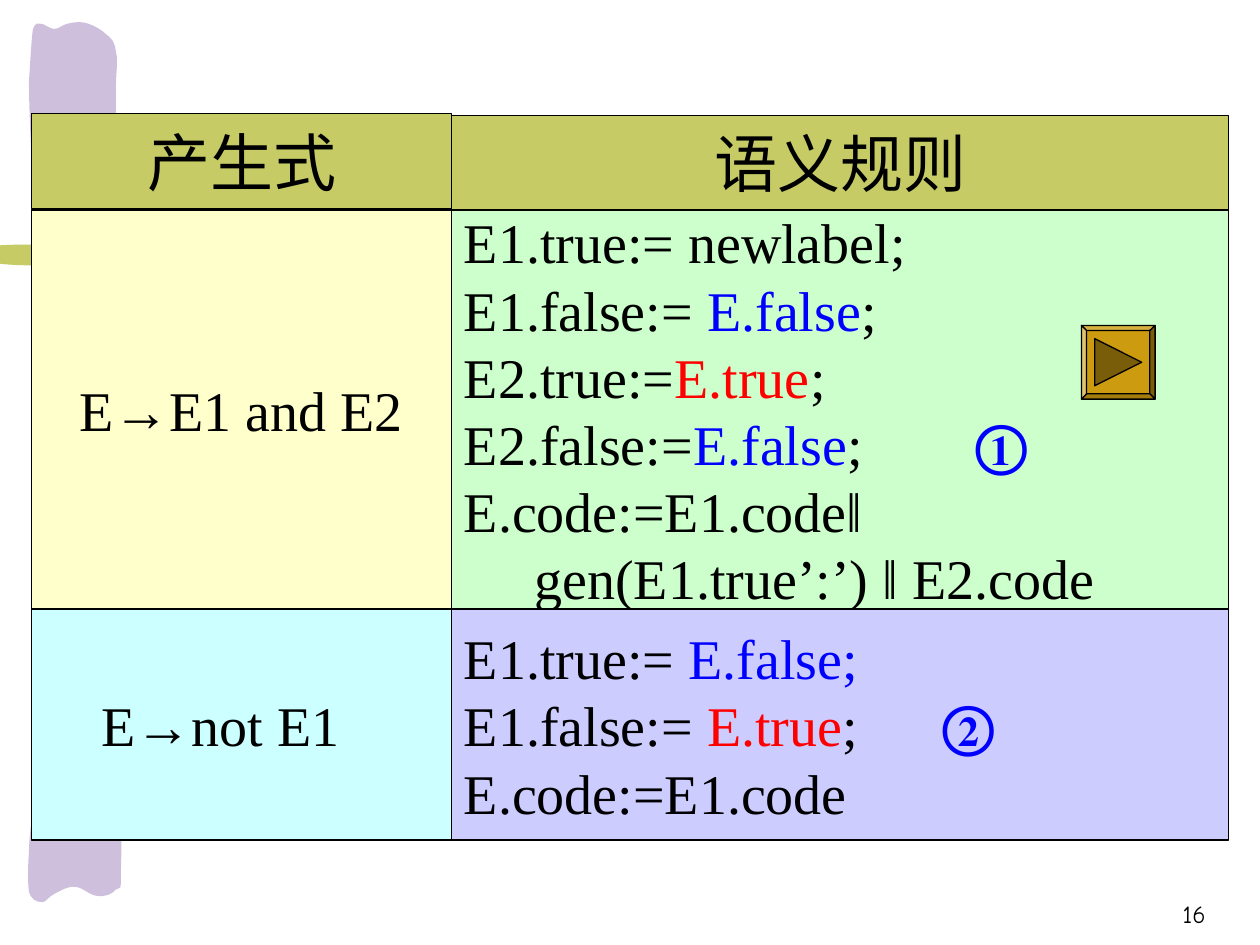
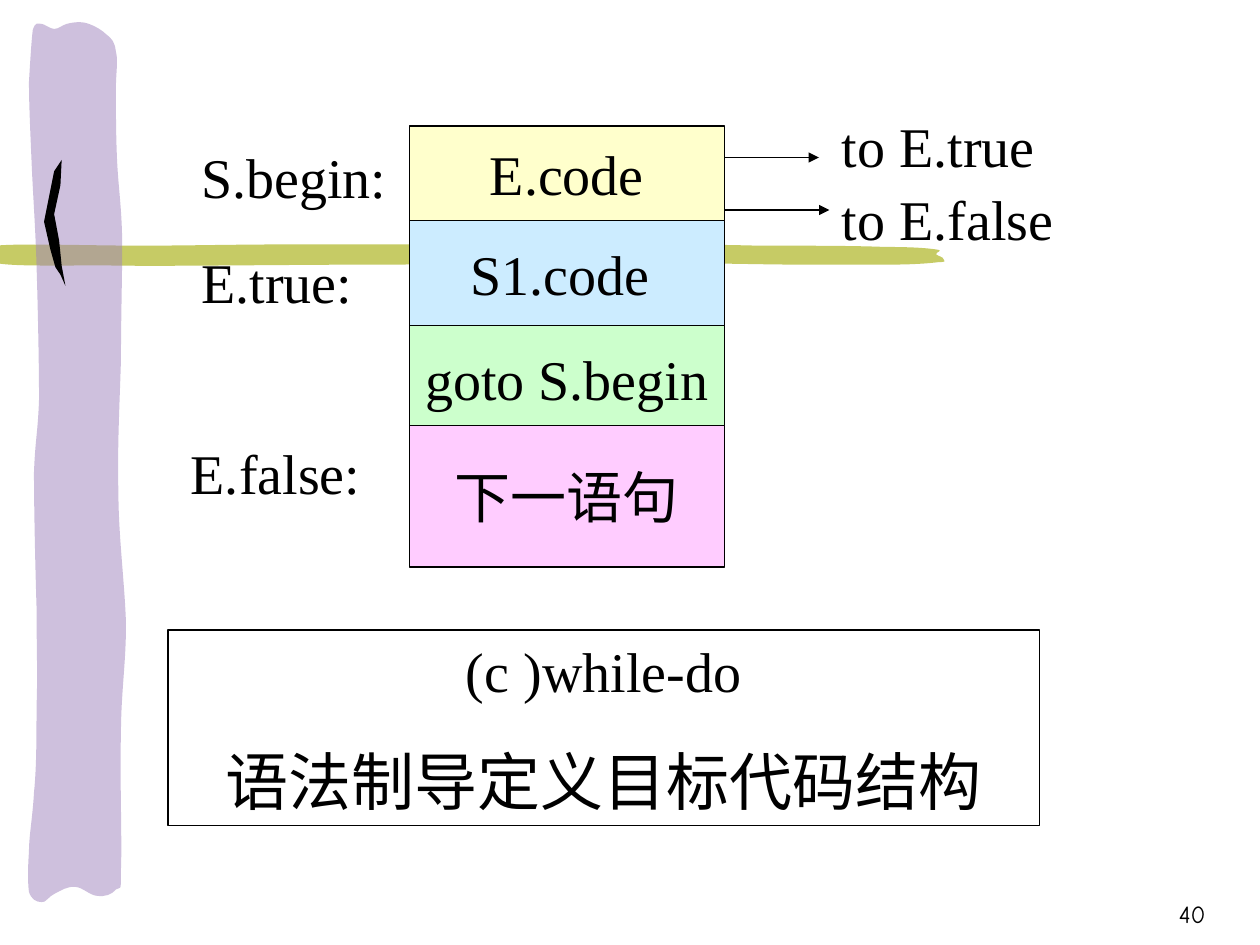
from dataclasses import dataclass

from lxml import etree
from pptx import Presentation
from pptx.dml.color import RGBColor
from pptx.enum import shapes, text
from pptx.oxml import ns
from pptx.util import Inches, Pt


@dataclass(frozen=True)
class Theme:
    """Colours, fonts and type sizes of the deck."""
    black: str = "000000"
    white: str = "FFFFFF"
    blue: str = "0000FF"
    red: str = "FF0000"
    olive: str = "C6CB65"
    purple: str = "9F83BD"
    yellow: str = "FFFFCC"
    green: str = "CCFFCC"
    cyan: str = "CCFFFF"
    lavender: str = "CCCCFF"
    sky: str = "CCECFF"
    pink: str = "FFCCFF"
    gold: str = "CC9B10"
    font: str = "Times New Roman"
    number_font: str = "Comic Neue"
    heading: float = 36
    body: float = 32
    number: float = 14
    line: float = 0.75


THEME = Theme()
CENTER, RIGHT = text.PP_ALIGN.CENTER, text.PP_ALIGN.RIGHT
MIDDLE, TOP, BOTTOM = (text.MSO_ANCHOR.MIDDLE, text.MSO_ANCHOR.TOP,
                       text.MSO_ANCHOR.BOTTOM)
UNITS_PER_INCH = 12

BAND = [
    (6.01, 1.95),
    (6.36, 1.95, 6.78, 1.95, 7.02, 1.96), (7.25, 1.96, 7.36, 1.97, 7.43, 1.98),
    (7.5, 1.99, 7.42, 2, 7.43, 2.02), (7.44, 2.03, 7.49, 2.04, 7.49, 2.06),
    (7.49, 2.07, 7.52, 2.08, 7.45, 2.08), (7.38, 2.09, 7.24, 2.1, 7.06, 2.1),
    (6.88, 2.1, 6.63, 2.1, 6.35, 2.1), (6.08, 2.1, 5.77, 2.09, 5.41, 2.09),
    (5.04, 2.09, 4.55, 2.09, 4.14, 2.09), (3.74, 2.09, 3.49, 2.1, 2.98, 2.1),
    (2.48, 2.1, 1.62, 2.11, 1.11, 2.11), (0.61, 2.1, 0.16, 2.12, -0.02, 2.09),
    (-0.03, 1.95), (0.16, 1.93, 0.72, 1.95, 1.11, 1.95),
    (1.51, 1.95, 1.85, 1.94, 2.32, 1.94), (2.78, 1.94, 3.48, 1.94, 3.91, 1.94),
    (4.34, 1.94, 4.55, 1.94, 4.89, 1.94), (5.24, 1.94, 5.66, 1.94, 6.01, 1.95),
]
STROKE = [
    (0.29, 5.61),
    (0.3, 5.37, 0.29, 5.12, 0.29, 4.81), (0.28, 4.5, 0.27, 4.03, 0.27, 3.75),
    (0.28, 3.48, 0.3, 3.44, 0.31, 3.17), (0.31, 2.89, 0.3, 2.42, 0.29, 2.1),
    (0.28, 1.78, 0.26, 1.52, 0.25, 1.27), (0.24, 1.03, 0.23, 0.82, 0.23, 0.65),
    (0.24, 0.48, 0.25, 0.32, 0.26, 0.24), (0.28, 0.17, 0.3, 0.19, 0.33, 0.19),
    (0.35, 0.19, 0.4, 0.23, 0.43, 0.23), (0.47, 0.23, 0.49, 0.2, 0.53, 0.19),
    (0.57, 0.18, 0.62, 0.17, 0.67, 0.18), (0.72, 0.19, 0.8, 0.23, 0.84, 0.27),
    (0.89, 0.31, 0.91, 0.33, 0.92, 0.41), (0.94, 0.48, 0.92, 0.57, 0.92, 0.71),
    (0.92, 0.86, 0.92, 1.08, 0.93, 1.29), (0.94, 1.49, 0.97, 1.68, 0.97, 1.95),
    (0.97, 2.21, 0.96, 2.54, 0.96, 2.86), (0.95, 3.19, 0.93, 3.56, 0.94, 3.91),
    (0.94, 4.25, 0.99, 4.63, 1, 4.95), (1, 5.27, 0.96, 5.5, 0.96, 5.83),
    (0.95, 6.15, 0.97, 6.69, 0.96, 6.9), (0.96, 7.1, 0.96, 7.03, 0.92, 7.06),
    (0.89, 7.1, 0.83, 7.12, 0.77, 7.11), (0.72, 7.11, 0.65, 7.04, 0.6, 7.04),
    (0.54, 7.03, 0.48, 7.07, 0.44, 7.09), (0.39, 7.11, 0.36, 7.17, 0.33, 7.16),
    (0.29, 7.16, 0.25, 7.14, 0.23, 7.08), (0.22, 7.01, 0.22, 6.89, 0.23, 6.76),
    (0.23, 6.63, 0.26, 6.48, 0.27, 6.29), (0.29, 6.1, 0.29, 5.86, 0.29, 5.61),
]
CHEVRON = [(0.49, 1.27), (0.48, 1.47), (0.43, 1.7), (0.47, 1.91), (0.49, 2.11),
           (0.52, 2.27), (0.48, 2.18), (0.44, 2.12), (0.4, 1.98), (0.35, 1.76),
           (0.39, 1.56), (0.43, 1.36), (0.49, 1.27)]


def units(*lengths):
    """Convert twelfths of an inch to lengths."""
    return [Inches(length / UNITS_PER_INCH) for length in lengths]


def paint(shape, fill, outlined=False):
    """Give a shape a flat fill and an optional thin black outline."""
    shape.shadow.inherit = False
    shape.fill.solid()
    shape.fill.fore_color.rgb = RGBColor.from_string(fill)
    if outlined:
        shape.line.color.rgb = RGBColor.from_string(THEME.black)
        shape.line.width = Pt(THEME.line)
    else:
        shape.line.fill.background()


def add_outline(slide, segments, fill):
    """Draw a closed outline of straight (x, y) and cubic six-value segments."""
    points = [(Inches(x), Inches(y)) for segment in segments
              for x, y in zip(segment[::2], segment[1::2])]
    builder = slide.shapes.build_freeform(*points[0])
    builder.add_line_segments(points[1:], close=True)
    shape = builder.convert_to_shape()
    steps = iter(shape._element.findall(".//" + ns.qn("a:lnTo")))
    for segment in segments[1:]:
        step = next(steps)
        if len(segment) == 6:
            step.tag_name = None
            curve = etree.Element(ns.qn("a:cubicBezTo"))
            step.addprevious(curve)
            for part in (step, next(steps), next(steps)):
                curve.append(part[0])
                part.getparent().remove(part)
    paint(shape, fill)
    return shape


def write_runs(paragraph, runs, size=THEME.body, font=THEME.font):
    """Add runs, each a text with optional colour, bold flag and tracking."""
    for words, *style in runs:
        colour, bold, tracking = (*style, *(THEME.black, False, 0)[len(style):])
        run = paragraph.add_run()
        run.text = words
        run.font.name = font
        run.font.size = Pt(size)
        run.font.color.rgb = RGBColor.from_string(colour)
        run.font.bold = bold
        if tracking:
            run._r.get_or_add_rPr().set("spc", str(tracking * 100))


def set_frame(shape, anchor, right_inset=0.1):
    """Set wrapping, anchor and insets and return the text frame."""
    frame = shape.text_frame
    frame.word_wrap = True
    frame.vertical_anchor = anchor
    frame.margin_left, frame.margin_right = Inches(0.1), Inches(right_inset)
    frame.margin_top = frame.margin_bottom = Inches(0.05)
    return frame


def add_box(slide, box, fill, anchor=MIDDLE, right_inset=0.1):
    """Add an outlined rectangle and return its text frame."""
    shape = slide.shapes.add_shape(shapes.MSO_SHAPE.RECTANGLE, *units(*box))
    paint(shape, fill, outlined=True)
    return set_frame(shape, anchor, right_inset)


def add_centered_box(slide, box, fill, words, size=THEME.body, right_inset=0.1):
    """Add a rectangle with one centred line of text."""
    paragraph = add_box(slide, box, fill, right_inset=right_inset).paragraphs[0]
    paragraph.alignment = CENTER
    write_runs(paragraph, [(words,)], size)


def add_label(slide, box, words, anchor=TOP, align=None, **style):
    """Add a text box with one line of text."""
    frame = set_frame(slide.shapes.add_textbox(*units(*box)), anchor)
    frame.paragraphs[0].alignment = align
    write_runs(frame.paragraphs[0], [(words,)], **style)


def add_rules(slide, box, fill, lines):
    """Add a cell of semantic rules, one paragraph per line."""
    frame = add_box(slide, box, fill)
    for index, (indent, runs) in enumerate(lines):
        paragraph = frame.add_paragraph() if index else frame.paragraphs[0]
        paragraph.alignment = text.PP_ALIGN.LEFT
        properties = paragraph._p.get_or_add_pPr()
        properties.set("marL", str(Inches(indent)))
        properties.set("indent", "0")
        write_runs(paragraph, runs)


def add_play_button(slide, left, top, side):
    """Add a bevelled button with a triangle pointing right."""
    rim, near, far = 0.07 * side, 0.18 * side, 0.82 * side
    inner = side - rim
    faces = [
        ("norm", [(0, 0), (side, 0), (side, side), (0, side)]),
        ("lightenLess", [(0, 0), (side, 0), (inner, rim), (rim, rim)]),
        ("darken", [(side, 0), (side, side), (inner, inner), (inner, rim)]),
        ("darkenLess", [(side, side), (0, side), (rim, inner), (inner, inner)]),
        ("lighten", [(0, side), (0, 0), (rim, rim), (rim, inner)]),
        ("darken", [(near, near), (far, side / 2), (near, far)]),
    ]
    outlines = [[units(left + x, top + y) for x, y in points] for _, points in faces]
    builder = slide.shapes.build_freeform(*outlines[0][0])
    for index, (start, *others) in enumerate(outlines):
        if index:
            builder.move_to(*start)
        builder.add_line_segments(others, close=True)
    shape = builder.convert_to_shape()
    outline = shape._element.find(".//" + ns.qn("a:path"))
    size = dict(outline.attrib)
    shades = iter([shade for shade, _ in faces])
    for step in list(outline):
        if step.tag == ns.qn("a:moveTo"):
            face = etree.SubElement(outline.getparent(), ns.qn("a:path"), **size)
            face.set("fill", next(shades))
        face.append(step)
    outline.getparent().remove(outline)
    paint(shape, THEME.gold, outlined=True)


def add_arrow(slide, left, top, length):
    """Add a horizontal arrow pointing right."""
    arrow = slide.shapes.add_connector(
        shapes.MSO_CONNECTOR.STRAIGHT, *units(left, top, left + length, top))
    arrow.line.color.rgb = RGBColor.from_string(THEME.black)
    arrow.line.width = Pt(THEME.line)
    etree.SubElement(arrow.line._get_or_add_ln(), ns.qn("a:tailEnd"), type="triangle")
    etree.SubElement(arrow._element.spPr, ns.qn("a:effectLst"))


def add_base_slide(presentation):
    """Add a blank slide with the brush strokes."""
    slide = presentation.slides.add_slide(presentation.slide_layouts[6])
    add_outline(slide, BAND, THEME.olive)
    stroke = add_outline(slide, STROKE, THEME.purple)
    colour = stroke._element.spPr.find(".//" + ns.qn("a:srgbClr"))
    etree.SubElement(colour, ns.qn("a:alpha"), val="50000")
    add_outline(slide, CHEVRON, THEME.black)
    return slide


def add_page_number(slide, number):
    """Add the page number at the bottom right."""
    add_label(slide, (91, 83, 25, 6), number, BOTTOM, RIGHT,
              size=THEME.number, font=THEME.number_font)


def add_rule_grid(slide, left, top):
    """Add productions on the left and their semantic rules on the right."""
    narrow, wide = 40, 74
    header_height, and_height, not_height = 9, 38, 22
    right = left + narrow
    and_top = top + header_height
    not_top = and_top + and_height
    false, true = ("E.false", THEME.blue), ("E.true", THEME.red)
    and_rules = [
        (0, [("E1.true:= newlabel;",)]),
        (0, [("E1.false:= ",), false, (";",)]),
        (0, [("E2.true:=",), true, (";",)]),
        (0, [("E2.false:=",), false, (";",), (" ", THEME.black, False, 56),
             ("①", THEME.blue, True)]),
        (0, [("E.code:=E1.code‖",)]),
        (0.56, [("gen(E1.true’:’) ‖ E2.code",)]),
    ]
    not_rules = [
        (0, [("E1.true:= ",), ("E.false;", THEME.blue)]),
        (0, [("E1.false:= ",), true, (";",), (" ", THEME.black, False, 40),
             ("②", THEME.blue, True)]),
        (0, [("E.code:=E1.code",)]),
    ]
    add_centered_box(slide, (left, top - 0.2, narrow, header_height + 0.1),
                     THEME.olive, "产生式", THEME.heading)
    add_centered_box(slide, (right, top, wide, header_height), THEME.olive,
                     "语义规则", THEME.heading)
    add_centered_box(slide, (left, and_top, narrow, and_height), THEME.yellow,
                     "E→E1 and E2")
    add_rules(slide, (right, and_top, wide, and_height), THEME.green, and_rules)
    add_centered_box(slide, (left, not_top, narrow, not_height), THEME.cyan,
                     "E→not E1", right_inset=0.43)
    add_rules(slide, (right, not_top, wide, not_height), THEME.lavender, not_rules)


def add_code_stack(slide, left, top):
    """Add the stacked code blocks with their labels and exits."""
    width, label_height = 30, 7.7
    blocks = [(0, 9, THEME.yellow, "E.code", 0.1),
              (9, 10, THEME.sky, "S1.code", 0.21),
              (19, 10, THEME.green, "goto S.begin", 0.1),
              (28.5, 13.5, THEME.pink, "下一语句", 0.1)]
    for offset, height, fill, words, inset in blocks:
        add_centered_box(slide, (left, top + offset, width, height), fill, words,
                         right_inset=inset)
    for shift, offset, label_width, words in [
            (21, 1, 21, "S.begin:"), (21, 11, 19, "E.true:"), (22, 29.2, 19, "E.false:")]:
        add_label(slide, (left - shift, top + offset, label_width, label_height), words)
    right = left + width
    for arrow_offset, length, label_offset, words in [
            (3, 9, -2, "to E.true"), (8, 10, 5, "to E.false")]:
        add_arrow(slide, right, top + arrow_offset, length)
        add_label(slide, (right + 10, top + label_offset, 23, label_height), words)


def add_caption(slide, box):
    """Add the framed two-line caption."""
    frame = add_box(slide, box, THEME.white, TOP)
    first, second = frame.paragraphs[0], frame.add_paragraph()
    first.alignment = second.alignment = CENTER
    second.space_before = Pt(22.5)
    write_runs(first, [("(c )while-do",)])
    write_runs(second, [("语法制导定义目标代码结构",)], THEME.heading)


def main():
    """Build and save the deck."""
    presentation = Presentation()
    presentation.slide_width, presentation.slide_height = Inches(10), Inches(7.5)
    rules_slide = add_base_slide(presentation)
    add_rule_grid(rules_slide, 3, 11)
    add_play_button(rules_slide, 103, 31, 7)
    add_page_number(rules_slide, "16")
    while_slide = add_base_slide(presentation)
    add_code_stack(while_slide, 39, 12)
    add_caption(while_slide, (16, 60, 83, 18.6))
    add_page_number(while_slide, "40")
    presentation.save("out.pptx")


if __name__ == "__main__":
    main()
